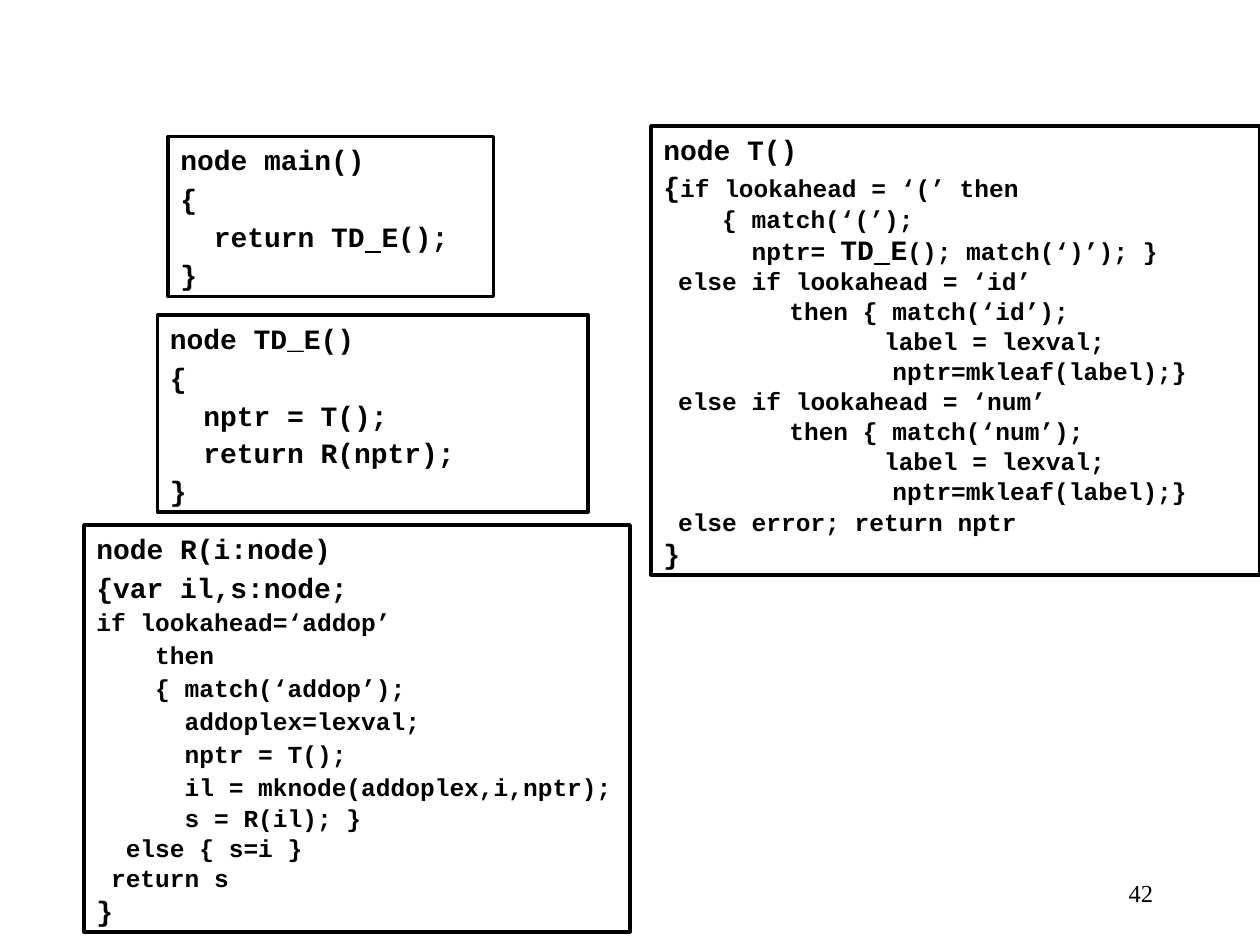
from lxml import etree
from pptx import Presentation
from pptx.dml.color import RGBColor
from pptx.enum.shapes import MSO_SHAPE
from pptx.enum.text import MSO_ANCHOR, MSO_AUTO_SIZE, PP_ALIGN
from pptx.oxml.ns import qn
from pptx.util import Inches, Pt

RECTANGLE = MSO_SHAPE.RECTANGLE
TOP, MIDDLE = MSO_ANCHOR.TOP, MSO_ANCHOR.MIDDLE
GROW = MSO_AUTO_SIZE.SHAPE_TO_FIT_TEXT
LEFT, RIGHT = PP_ALIGN.LEFT, PP_ALIGN.RIGHT
BLACK = RGBColor(0x00, 0x00, 0x00)
BIG, SMALL = 16, 14
BLANK = " "  # a lone blank is underlined, as in TD_E

prs = Presentation()
prs.slide_width, prs.slide_height = Inches(10), Inches(7.5)
slide = prs.slides.add_slide(prs.slide_layouts[6])
CELL = prs.slide_width // 120  # grid of 120 columns and 90 rows


def place(*cells):
    return [round(cell * CELL) for cell in cells]


def add_run(paragraph, text, size, font_name):
    run = paragraph.add_run()
    run.text = text
    run.font.name = font_name
    run.font.size = Pt(size)
    run.font.color.rgb = BLACK
    return run


# Each line of code: line spacing, then runs of (size, text)
main_code = [
    (1, (BIG, "node main()")),
    (0.6, (BIG, "{")),
    (0.6, (BIG, "  return TD"), (BIG, BLANK), (BIG, "E();")),
    (0.6, (BIG, "}")),
]
expression_code = [
    (1, (BIG, "node TD_E()")),
    (0.6, (BIG, "{")),
    (0.6, (BIG, "  nptr = T();")),
    (0.6, (BIG, "  return R(nptr);")),
    (0.6, (BIG, "}")),
]
term_code = [
    (1, (BIG, "node T()")),
    (0.6, (BIG, "{"), (SMALL, "if lookahead = ‘(’ then")),
    (0.5, (SMALL, "    { match(‘(’);")),
    (0.5, (SMALL, "      nptr= "), (BIG, "TD"), (BIG, BLANK), (BIG, "E"),
     (SMALL, "(); match(‘)’); }")),
]
for token in ("id", "num"):
    term_code += [
        (0.5, (SMALL, f" else if lookahead = ‘{token}’")),
        (0.5, (SMALL, f"\tthen {{ match(‘{token}’);")),
        (0.5, (SMALL, "               label = lexval;")),
        (0.5, (SMALL, "\t       nptr=mkleaf(label);}")),
    ]
term_code += [
    (0.5, (SMALL, " else error; return nptr")),
    (0.5, (BIG, "}")),
]
rest_code = [
    (1, (BIG, "node R(i:node)")),
    (0.6, (BIG, "{var il,s:node;")),
    (0.6, (SMALL, "if lookahead=‘addop’")),
    (0.6, (SMALL, "    then")),
    (0.6, (SMALL, "    { match(‘addop’);")),
    (0.6, (SMALL, "      addoplex=lexval;")),
    (0.6, (SMALL, "      nptr = T();")),
    (0.6, (SMALL, "      il = mknode(addoplex,i,nptr);")),
    (0.5, (SMALL, "      s = R(il); }")),
    (0.5, (SMALL, "  else { s=i }")),
    (0.5, (SMALL, " return s")),
    (0.5, (BIG, "}")),
]

# Framed procedures: column, row, width, height in grid cells
procedures = [
    ((16, 13, 31, 15.25), main_code),
    ((15, 30, 41, 18.75), expression_code),
    ((62, 12, 58, 42.75), term_code),
    ((8, 50, 52, 38.75), rest_code),
]
for cells, code in procedures:
    procedure = slide.shapes.add_shape(RECTANGLE, *place(*cells))
    procedure.shadow.inherit = False
    procedure.fill.background()
    procedure.line.color.rgb = BLACK
    procedure.line.width = Pt(2)
    frame = procedure.text_frame
    frame.word_wrap = True
    frame.auto_size = GROW
    frame.vertical_anchor = TOP
    for number, (spacing, *runs) in enumerate(code):
        line = frame.add_paragraph() if number else frame.paragraphs[0]
        line.alignment = LEFT
        line.line_spacing = float(spacing)
        if number:
            line.space_before = Pt(runs[-1][0] * 5 / 8)
        # Tab stops at every inch
        stops = etree.SubElement(line._p.get_or_add_pPr(), qn("a:tabLst"))
        for inch in range(8):
            etree.SubElement(stops, qn("a:tab"), pos=str(Inches(inch)), algn="l")
        for size, text in runs:
            run = add_run(line, text, size, "Courier New")
            run.font.bold = True
            if text == BLANK:
                run.font.underline = True

# Page number
page_number = slide.shapes.add_textbox(*place(86, 82, 25, 6)).text_frame
page_number.word_wrap = True
page_number.vertical_anchor = MIDDLE
page_number.paragraphs[0].alignment = RIGHT
add_run(page_number.paragraphs[0], "42", SMALL, "Times New Roman")

prs.save("out.pptx")
